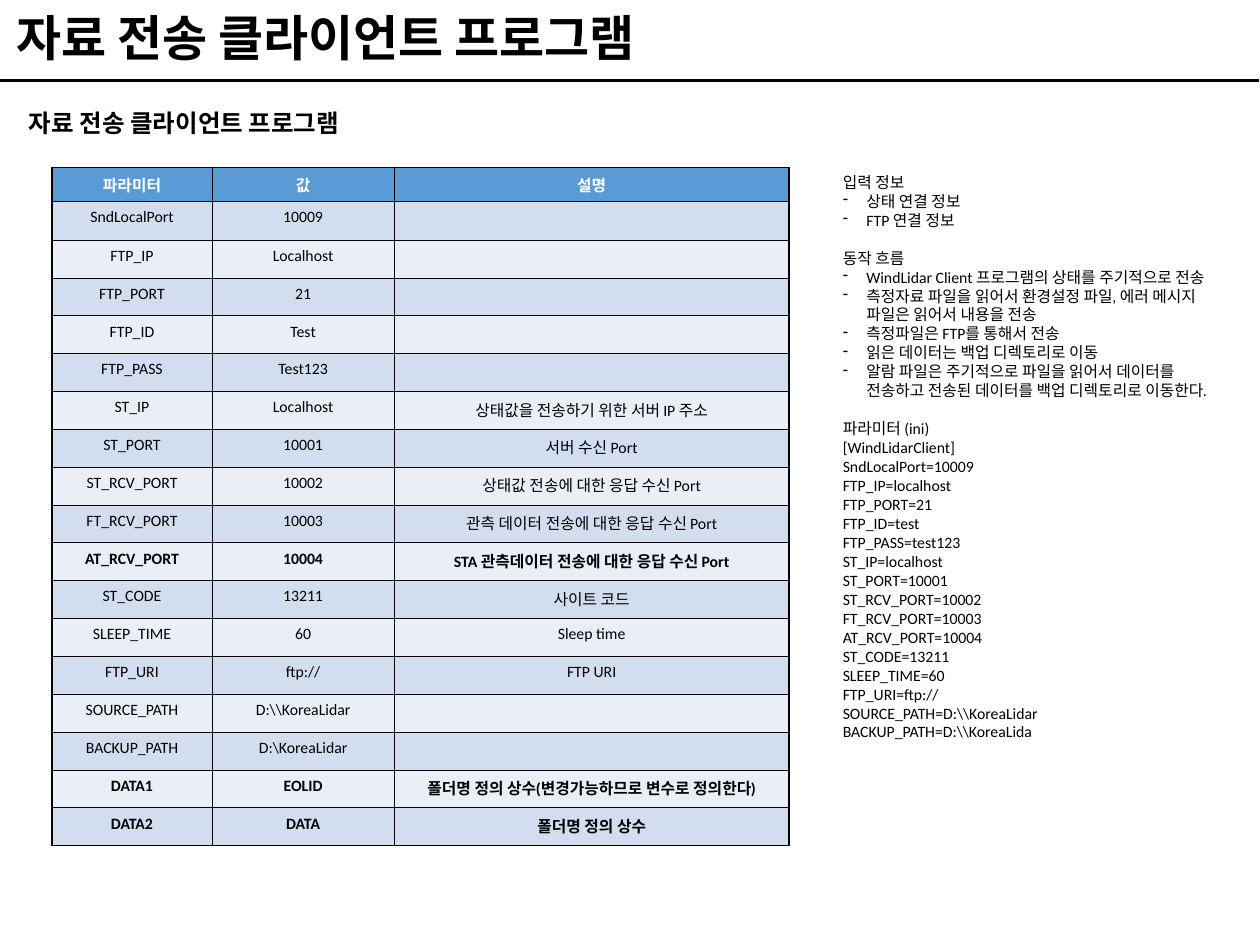
from lxml.etree import SubElement
from pptx import Presentation
from pptx.dml.color import RGBColor
from pptx.enum.shapes import MSO_CONNECTOR
from pptx.enum.text import MSO_ANCHOR, MSO_AUTO_SIZE, PP_ALIGN
from pptx.oxml.ns import qn
from pptx.util import Pt

TITLE = "자료 전송 클라이언트 프로그램"
HEADER = ("파라미터", "값", "설명")
PARAMETERS = [
    ("SndLocalPort", "10009", ""),
    ("FTP_IP", "Localhost", ""),
    ("FTP_PORT", "21", ""),
    ("FTP_ID", "Test", ""),
    ("FTP_PASS", "Test123", ""),
    ("ST_IP", "Localhost", "상태값을 전송하기 위한 서버 IP 주소"),
    ("ST_PORT", "10001", "서버 수신 Port"),
    ("ST_RCV_PORT", "10002", "상태값 전송에 대한 응답 수신 Port"),
    ("FT_RCV_PORT", "10003", "관측 데이터 전송에 대한 응답 수신 Port"),
    ("AT_RCV_PORT", "10004", "STA 관측데이터 전송에 대한 응답 수신 Port"),
    ("ST_CODE", "13211", "사이트 코드"),
    ("SLEEP_TIME", "60", "Sleep time"),
    ("FTP_URI", "ftp://", "FTP URI"),
    ("SOURCE_PATH", r"D:\\KoreaLidar", ""),
    ("BACKUP_PATH", r"D:\KoreaLidar", ""),
    ("DATA1", "EOLID", "폴더명 정의 상수(변경가능하므로 변수로 정의한다)"),
    ("DATA2", "DATA", "폴더명 정의 상수"),
]
BOLD_PARAMETERS = {"AT_RCV_PORT", "DATA1", "DATA2"}
NOTES = [
    ("입력 정보", "-", [
        "상태 연결 정보",
        "FTP 연결 정보",
    ]),
    ("동작 흐름", "-", [
        "WindLidar Client 프로그램의 상태를 주기적으로 전송",
        "측정자료 파일을 읽어서 환경설정 파일, 에러 메시지 파일은 읽어서 내용을 전송",
        "측정파일은 FTP를 통해서 전송",
        "읽은 데이터는 백업 디렉토리로 이동",
        "알람 파일은 주기적으로 파일을 읽어서 데이터를 전송하고 전송된 데이터를 백업 디렉토리로 이동한다.",
    ]),
    ("파라미터 (ini)", None, [
        "[WindLidarClient]",
        "SndLocalPort=10009",
        "FTP_IP=localhost",
        "FTP_PORT=21",
        "FTP_ID=test",
        "FTP_PASS=test123",
        "ST_IP=localhost",
        "ST_PORT=10001",
        "ST_RCV_PORT=10002",
        "FT_RCV_PORT=10003",
        "AT_RCV_PORT=10004",
        "ST_CODE=13211",
        "SLEEP_TIME=60",
        "FTP_URI=ftp://",
        r"SOURCE_PATH=D:\\KoreaLidar",
        r"BACKUP_PATH=D:\\KoreaLida",
    ]),
]
BLACK, WHITE = "000000", "FFFFFF"
HEADER_FILL = "5B9BD5"
BAND_FILLS = ("D2DEEF", "EAEFF7")
BODY_SIZE = 9
LINE_PITCH = 10.9
INDENT = 13.5
COLUMN_WIDTHS = (91.4, 104.2, 225.6)
HEADER_HEIGHT, FIRST_ROW_HEIGHT, ROW_HEIGHT = 19.4, 22.2, 21.64


def color(value):
    return RGBColor.from_string(value)


def add_run(paragraph, text, size, bold=False, font="Calibri", fill=BLACK):
    run = paragraph.add_run()
    run.text = text
    run.font.size = Pt(size)
    run.font.name = font
    run.font.bold = bold
    run.font.color.rgb = color(fill)


def add_text_frame(slide, left, top, width, height, wrap=True):
    box = slide.shapes.add_textbox(Pt(left), Pt(top), Pt(width), Pt(height))
    frame = box.text_frame
    frame.word_wrap = wrap
    return frame


def add_title(slide):
    rule = slide.shapes.add_connector(MSO_CONNECTOR.STRAIGHT, Pt(0), Pt(46), Pt(719.3), Pt(46))
    rule.line.color.rgb = color(BLACK)
    rule.line.width = Pt(2.25)
    SubElement(rule._element.spPr, qn("a:effectLst"))

    title = add_text_frame(slide, 2.2, 2.2, 715, 39.6)
    title.vertical_anchor = MSO_ANCHOR.BOTTOM
    title.paragraphs[0].line_spacing = 0.9
    add_run(title.paragraphs[0], TITLE, 28, bold=True)

    subtitle = add_text_frame(slide, 9.4, 58.3, 213.1, 24.5, wrap=False)
    subtitle.auto_size = MSO_AUTO_SIZE.SHAPE_TO_FIT_TEXT
    add_run(subtitle.paragraphs[0], TITLE, 14, bold=True, font="Arial")


def add_bullet(paragraph, character):
    properties = paragraph._p.get_or_add_pPr()
    properties.set("marL", str(Pt(INDENT)))
    properties.set("indent", str(-Pt(INDENT)))
    SubElement(properties, qn("a:buChar")).set("char", character)


def add_notes(slide):
    frame = add_text_frame(slide, 474.5, 95, 236.2, 334.1)
    frame.auto_size = MSO_AUTO_SIZE.SHAPE_TO_FIT_TEXT
    for section, (heading, bullet, lines) in enumerate(NOTES):
        paragraph = frame.add_paragraph() if section else frame.paragraphs[0]
        if section:
            paragraph.space_before = Pt(LINE_PITCH)
        add_run(paragraph, heading, BODY_SIZE)
        for line in lines:
            paragraph = frame.add_paragraph()
            if bullet:
                add_bullet(paragraph, bullet)
            add_run(paragraph, line, BODY_SIZE)


def add_borders(cell, widths):
    properties = cell._tc.get_or_add_tcPr()
    for side, width in zip("LRTB", widths):
        border = SubElement(properties, qn(f"a:ln{side}"), w=str(Pt(width)))
        fill = SubElement(border, qn("a:solidFill"))
        SubElement(fill, qn("a:srgbClr"), val=BLACK)


def add_parameter_table(slide):
    rows = [HEADER, *PARAMETERS]
    heights = [HEADER_HEIGHT, FIRST_ROW_HEIGHT] + [ROW_HEIGHT] * (len(rows) - 2)
    last_row, last_column = len(rows) - 1, len(HEADER) - 1
    table = slide.shapes.add_table(
        len(rows), len(HEADER), Pt(29.7), Pt(95.6), Pt(sum(COLUMN_WIDTHS)), Pt(sum(heights))
    ).table
    for column, width in zip(table.columns, COLUMN_WIDTHS):
        column.width = Pt(width)
    for row, height in zip(table.rows, heights):
        row.height = Pt(height)

    for row, values in enumerate(rows):
        is_header = row == 0
        fill = HEADER_FILL if is_header else BAND_FILLS[(row - 1) % 2]
        bold = is_header or values[0] in BOLD_PARAMETERS
        for column, text in enumerate(values):
            cell = table.cell(row, column)
            outer = (column == 0, column == last_column, row == 0, row == last_row)
            add_borders(cell, [1 if edge else 0.5 for edge in outer])
            cell.fill.solid()
            cell.fill.fore_color.rgb = color(fill)
            paragraph = cell.text_frame.paragraphs[0]
            paragraph.alignment = PP_ALIGN.CENTER
            if text:
                add_run(paragraph, text, BODY_SIZE, bold, fill=WHITE if is_header else BLACK)
            else:
                SubElement(paragraph._p, qn("a:endParaRPr"), sz=str(BODY_SIZE * 100))


def main():
    presentation = Presentation()
    presentation.slide_width = Pt(720)
    presentation.slide_height = Pt(540)
    slide = presentation.slides.add_slide(presentation.slide_layouts[6])
    add_title(slide)
    add_notes(slide)
    add_parameter_table(slide)
    presentation.save("out.pptx")


if __name__ == "__main__":
    main()
